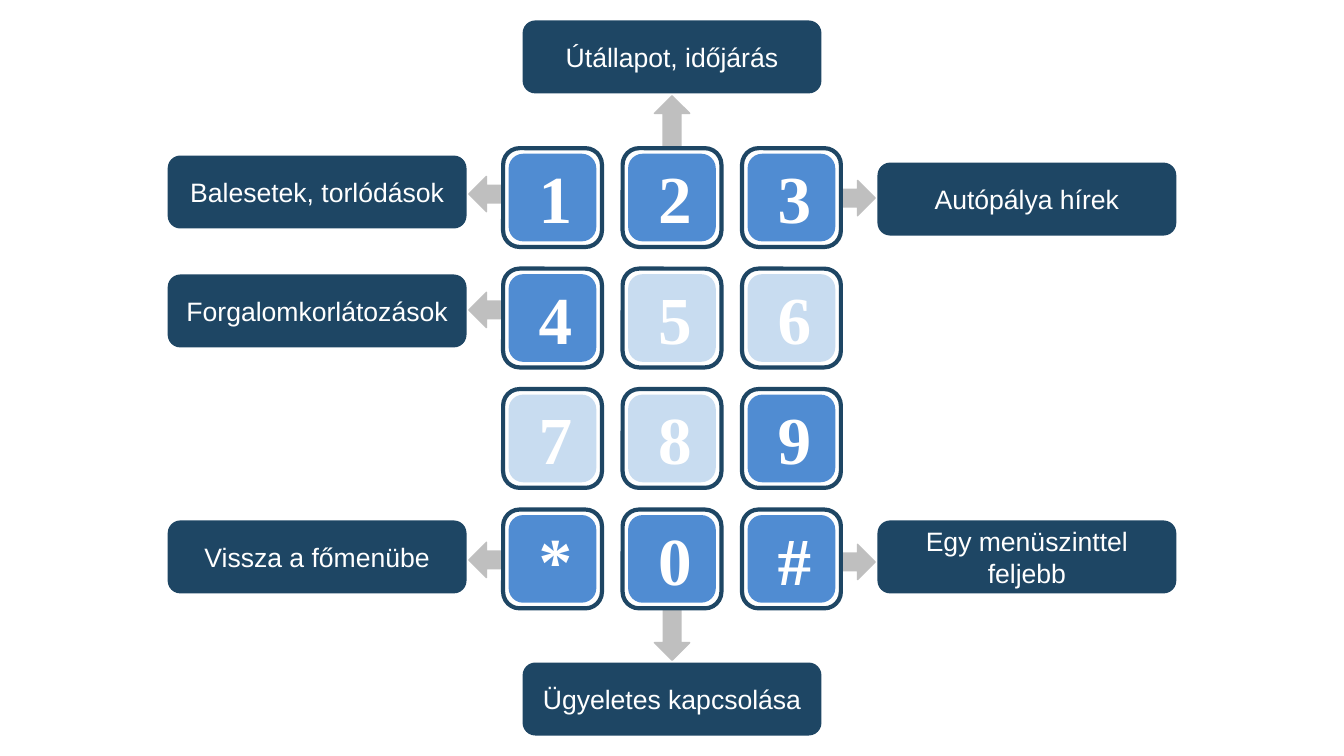
"""Build a slide of a phone keypad whose keys point to menu labels."""
from pptx import Presentation
from pptx.dml.color import RGBColor
from pptx.enum import shapes, text
from pptx.util import Inches, Pt

KEYPAD = ["123", "456", "789", "*0#"]
INACTIVE = "5678"
LABELS = [
    ("Útállapot, időjárás", 1, 0.21, 0.95, 0),
    ("Ügyeletes kapcsolása", 1, 6.58, 6.04, 180),
    ("Balesetek, torlódások", 0, 1.55, 1.67, 270),
    ("Autópálya hírek", 2, 1.62, 1.71, 90),
    ("Egy menüszinttel feljebb", 2, 5.17, 5.32, 90),
    ("Forgalomkorlátozások", 0, 2.73, 2.82, 270),
    ("Vissza a főmenübe", 0, 5.17, 5.3, 270),
]
THEME = {
    "navy": "1E4664", "active": "508CD2", "inactive": "C8DCF0",
    "arrow": "BFBFBF", "white": "FFFFFF",
    "key": {"name": "Times New Roman", "size": Pt(48), "bold": True},
    "label": {"name": "Arial", "size": Pt(19), "bold": False},
}
KEY_LEFT, KEY_TOP, KEY_SIZE = 4.99, 1.47, 0.98
KEY_STEP_X, KEY_STEP_Y = 1.185, 1.195
FACE_SIZE, FACE_INSET = 0.87, 0.055
DIGIT_W, DIGIT_H, DIGIT_DX, DIGIT_DY = 0.47, 0.91, 0.255, 0.035
LABEL_LEFT, LABEL_STEP, LABEL_W, LABEL_H = 1.67, 3.52, 2.95, 0.71
ARROW_LEFT, ARROW_STEP, ARROW_W, ARROW_H = 4.73, 1.76, 0.35, 0.51


def color(name):
    return RGBColor.from_string(THEME[name])


def add_box(parent, kind, at, fill, line=None, width=1):
    sp = parent.add_shape(kind, *map(Inches, at))
    sp.shadow.inherit = False
    sp.fill.solid()
    sp.fill.fore_color.rgb = color(fill)
    if line:
        sp.line.color.rgb = color(line)
        sp.line.width = Pt(width)
    else:
        sp.line.fill.background()
    return sp


def write(sp, words, style):
    tf = sp.text_frame
    tf.word_wrap = True
    p = tf.paragraphs[0]
    p.alignment = text.PP_ALIGN.CENTER
    r = p.add_run()
    r.text = words
    for name, value in THEME[style].items():
        setattr(r.font, name, value)
    r.font.color.rgb = color("white")
    return tf


def add_key(slide, symbol, x, y):
    group = slide.shapes.add_group_shape().shapes
    rounded = shapes.MSO_SHAPE.ROUNDED_RECTANGLE
    add_box(group, rounded, (x, y, KEY_SIZE, KEY_SIZE), "white", "navy", 3)
    face = "inactive" if symbol in INACTIVE else "active"
    add_box(group, rounded,
            (x + FACE_INSET, y + FACE_INSET, FACE_SIZE, FACE_SIZE), face)
    at = (x + DIGIT_DX, y + DIGIT_DY, DIGIT_W, DIGIT_H)
    tf = write(group.add_textbox(*map(Inches, at)), symbol, "key")
    tf.auto_size = text.MSO_AUTO_SIZE.SHAPE_TO_FIT_TEXT


def add_arrow(slide, col, top, rotation):
    at = (ARROW_LEFT + col * ARROW_STEP, top, ARROW_W, ARROW_H)
    sp = add_box(slide.shapes, shapes.MSO_SHAPE.UP_ARROW, at, "arrow", "arrow")
    sp.rotation = rotation


def add_label(slide, words, col, top):
    at = (LABEL_LEFT + col * LABEL_STEP, top, LABEL_W, LABEL_H)
    sp = add_box(slide.shapes, shapes.MSO_SHAPE.ROUNDED_RECTANGLE, at,
                 "navy", "navy")
    write(sp, words, "label").vertical_anchor = text.MSO_ANCHOR.MIDDLE


def main():
    prs = Presentation()
    prs.slide_width, prs.slide_height = Inches(13.33), Inches(7.5)
    slide = prs.slides.add_slide(prs.slide_layouts[6])
    for _, col, _, arrow_top, rotation in LABELS:
        add_arrow(slide, col, arrow_top, rotation)
    for row, symbols in enumerate(KEYPAD):
        for col, symbol in enumerate(symbols):
            add_key(slide, symbol, KEY_LEFT + col * KEY_STEP_X,
                    KEY_TOP + row * KEY_STEP_Y)
    for words, col, top, _, _ in LABELS:
        add_label(slide, words, col, top)
    prs.save("out.pptx")


if __name__ == "__main__":
    main()
